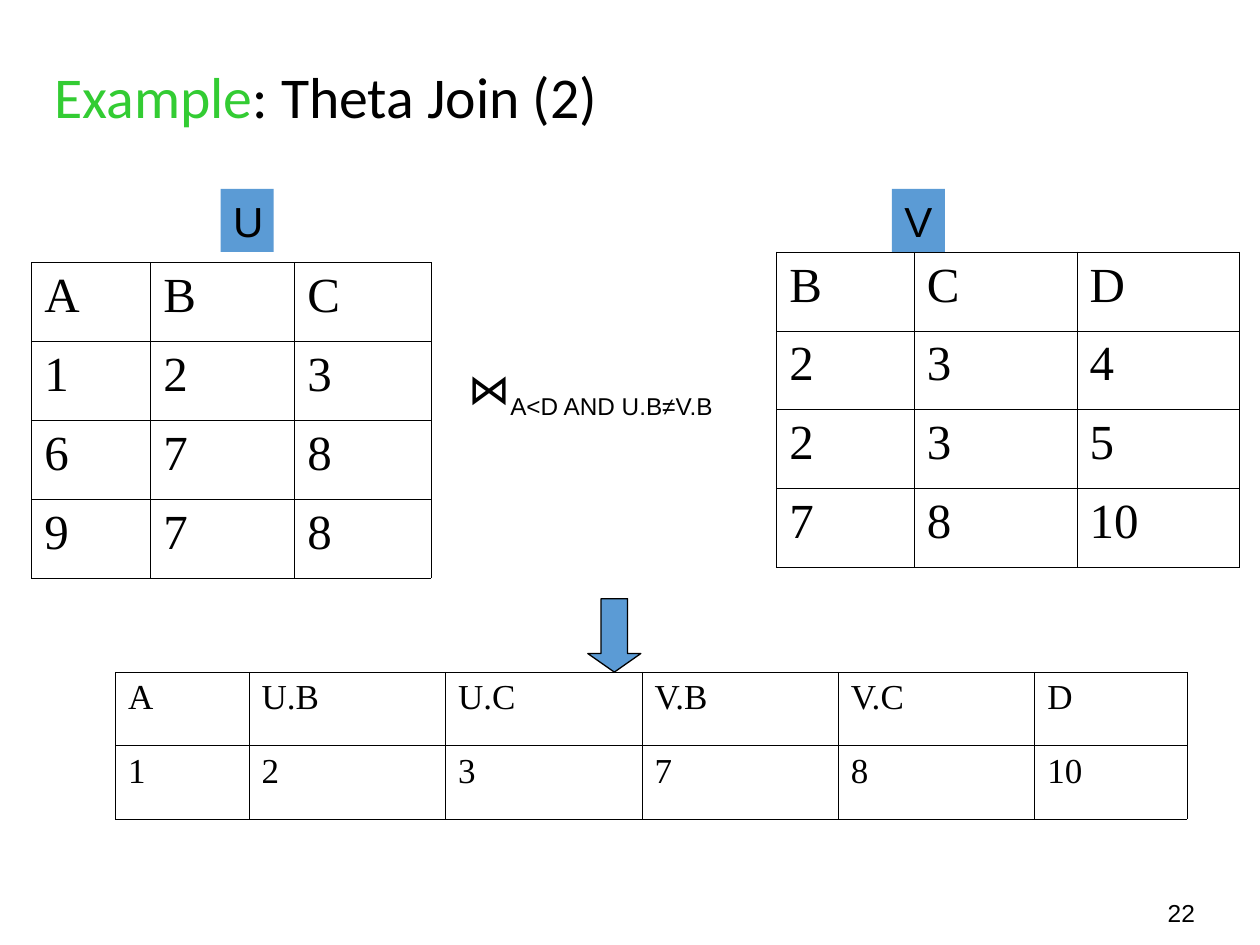
from lxml import etree
from pptx import Presentation
from pptx.dml.color import RGBColor
from pptx.enum import shapes, text
from pptx.oxml.ns import qn
from pptx.util import Cm, Pt

BLACK = RGBColor(0, 0, 0)
GREEN = RGBColor(0x33, 0xCC, 0x33)
BLUE = RGBColor(0x5B, 0x9B, 0xD5)


def style(run, size, face="Arial", color=BLACK):
    run.font.size = Pt(size)
    run.font.name = face
    run.font.color.rgb = color


def border(cell):
    props = cell._tc.get_or_add_tcPr()
    for spot, side in enumerate(("lnL", "lnR", "lnT", "lnB")):
        line = etree.Element(qn(f"a:{side}"), w=str(Pt(0.45)))
        fill = etree.SubElement(line, qn("a:solidFill"))
        etree.SubElement(fill, qn("a:srgbClr"), val=str(BLACK))
        props.insert(spot, line)


deck = Presentation()
deck.slide_width, deck.slide_height = Cm(25.4), Cm(19.05)
slide = deck.slides.add_slide(deck.slide_layouts[5])

title = slide.shapes.title
title.left, title.top, title.width, title.height = Cm(0.84), Cm(0.43), Cm(21.59), Cm(3.18)
frame = title.text_frame
frame.vertical_anchor = text.MSO_ANCHOR.MIDDLE
para = frame.paragraphs[0]
para.alignment = text.PP_ALIGN.LEFT
para.line_spacing = 0.9
for part, color in (("Example", GREEN), (": Theta Join (2)", BLACK)):
    run = para.add_run()
    run.text = part
    style(run, 33, "Calibri", color)

tables = [
    (2.33, 13.55, 1.48, 20, [2.69, 3.96, 3.96, 3.96, 3.96, 3.07],
     ["A U.B U.C V.B V.C D", "1 2 3 7 8 10"]),
    (0.64, 5.29, 1.59, 28, [2.4, 2.9, 2.75],
     ["A B C", "1 2 3", "6 7 8", "9 7 8"]),
    (15.66, 5.08, 1.59, 28, [2.77, 3.28, 3.28],
     ["B C D", "2 3 4", "2 3 5", "7 8 10"]),
]
for left, top, high, size, wide, rows in tables:
    grid = slide.shapes.add_table(len(rows), len(wide), Cm(left), Cm(top),
                                  Cm(sum(wide)), Cm(high * len(rows))).table
    grid.first_row = grid.horz_banding = False
    for col, width in zip(grid.columns, wide):
        col.width = Cm(width)
    for r, row in enumerate(rows):
        grid.rows[r].height = Cm(high)
        for c, word in enumerate(row.split()):
            cell = grid.cell(r, c)
            cell.text_frame.text = word
            style(cell.text_frame.paragraphs[0].runs[0], size, "Times New Roman")
            cell.fill.background()
            border(cell)

join = slide.shapes.add_textbox(Cm(9.19), Cm(7.19), Cm(5.51), Cm(1.42))
join.text_frame.word_wrap = False
para = join.text_frame.paragraphs[0]
for part in ("⋈", "A<D AND U.B≠V.B"):
    run = para.add_run()
    run.text = part
    style(run, 24)
run._r.get_or_add_rPr().set("baseline", "-25000")

for name, left in (("U", 4.45), ("V", 17.98)):
    label = slide.shapes.add_shape(shapes.MSO_SHAPE.RECTANGLE, Cm(left), Cm(3.81), Cm(1.07), Cm(1.27))
    label.shadow.inherit = False
    label.fill.solid()
    label.fill.fore_color.rgb = BLUE
    label.line.fill.background()
    label.text_frame.text = name
    label.text_frame.vertical_anchor = text.MSO_ANCHOR.TOP
    para = label.text_frame.paragraphs[0]
    para.alignment = text.PP_ALIGN.LEFT
    style(para.runs[0], 24)

arrow = slide.shapes.add_shape(shapes.MSO_SHAPE.DOWN_ARROW, Cm(11.85), Cm(12.07), Cm(1.07), Cm(1.48))
arrow.adjustments[0], arrow.adjustments[1] = 0.5, 0.35
arrow.shadow.inherit = False
arrow.fill.solid()
arrow.fill.fore_color.rgb = BLUE
arrow.line.color.rgb = BLACK
arrow.line.width = Pt(0.75)

page = slide.shapes.add_textbox(Cm(23.29), Cm(17.98), Cm(1.47), Cm(0.86))
page.text_frame.word_wrap = True
page.text_frame.text = "22"
style(page.text_frame.paragraphs[0].runs[0], 14)

deck.save("out.pptx")
